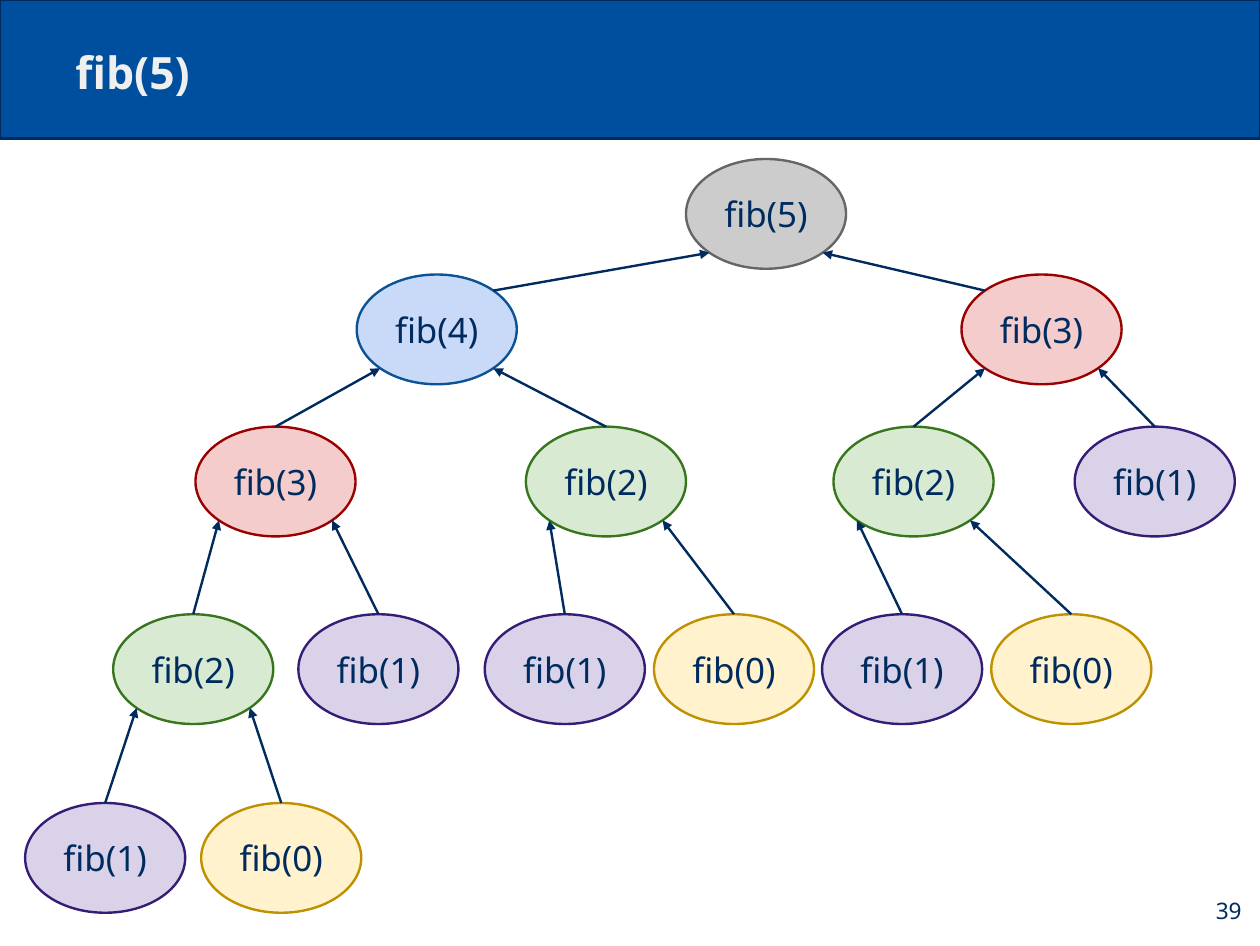
from math import sqrt

from lxml import etree
from pptx import Presentation
from pptx.dml.color import RGBColor
from pptx.enum.shapes import MSO_CONNECTOR, MSO_SHAPE
from pptx.enum.text import MSO_ANCHOR, PP_ALIGN
from pptx.oxml.ns import qn
from pptx.util import Inches, Pt

OVAL, RECTANGLE = MSO_SHAPE.OVAL, MSO_SHAPE.RECTANGLE
STRAIGHT = MSO_CONNECTOR.STRAIGHT
MIDDLE, BOTTOM = MSO_ANCHOR.MIDDLE, MSO_ANCHOR.BOTTOM
LEFT, CENTER, RIGHT = PP_ALIGN.LEFT, PP_ALIGN.CENTER, PP_ALIGN.RIGHT

NAVY = RGBColor(0x00, 0x2B, 0x5E)
BLUE = RGBColor(0x00, 0x4F, 0x9E)
LIGHT_GRAY = RGBColor(0xEF, 0xEF, 0xEF)

# Fill and outline for each argument of fib
NODE_COLORS = {
    5: (RGBColor(0xCC, 0xCC, 0xCC), RGBColor(0x66, 0x66, 0x66)),
    4: (RGBColor(0xC9, 0xDA, 0xF8), RGBColor(0x0B, 0x53, 0x94)),
    3: (RGBColor(0xF4, 0xCC, 0xCC), RGBColor(0x99, 0x00, 0x00)),
    2: (RGBColor(0xD9, 0xEA, 0xD3), RGBColor(0x38, 0x76, 0x1D)),
    1: (RGBColor(0xD9, 0xD2, 0xE9), RGBColor(0x35, 0x1C, 0x75)),
    0: (RGBColor(0xFF, 0xF2, 0xCC), RGBColor(0xBF, 0x90, 0x00)),
}

NODE_WIDTH, NODE_HEIGHT = 1.4, 0.96
LEVEL_TOPS = [1.39, 2.4, 3.73, 5.37, 7.02]

# Argument, level, left edge, index of the parent call
CALLS = [
    (5, 0, 6.0, None),
    (4, 1, 3.12, 0),
    (3, 1, 8.41, 0),
    (3, 2, 1.71, 1),
    (2, 2, 4.6, 1),
    (2, 2, 7.29, 2),
    (1, 2, 9.4, 2),
    (2, 3, 0.99, 3),
    (1, 3, 2.61, 3),
    (1, 3, 4.24, 4),
    (0, 3, 5.72, 4),
    (1, 3, 7.19, 5),
    (0, 3, 8.67, 5),
    (1, 4, 0.22, 7),
    (0, 4, 1.76, 7),
]


def write_text(shape, text, anchor, alignment, **font_format):
    frame = shape.text_frame
    frame.word_wrap = True
    frame.vertical_anchor = anchor
    for side in ("left", "right", "top", "bottom"):
        setattr(frame, f"margin_{side}", Inches(0.11))
    paragraph = frame.paragraphs[0]
    paragraph.alignment = alignment
    run = paragraph.add_run()
    run.text = text
    color = font_format.pop("color", NAVY)
    for name, value in {"name": "Noto Sans", **font_format}.items():
        setattr(run.font, name, value)
    run.font.color.rgb = color


def add_filled_shape(kind, left, top, width, height, fill, outline):
    shape = slide.shapes.add_shape(
        kind, Inches(left), Inches(top), Inches(width), Inches(height)
    )
    shape.shadow.inherit = False
    shape.fill.solid()
    shape.fill.fore_color.rgb = fill
    shape.line.color.rgb = outline
    shape.line.width = Pt(1.5)
    return shape


presentation = Presentation()
presentation.slide_width = Inches(11.02)
presentation.slide_height = Inches(8.27)
slide = presentation.slides.add_slide(presentation.slide_layouts[6])

# Header and page number
add_filled_shape(RECTANGLE, 0, 0, 11.02, 1.21, BLUE, NAVY)
title = slide.shapes.add_textbox(Inches(0.55), Inches(0.24), Inches(9.92), Inches(0.73))
write_text(title, "fib(5)", BOTTOM, LEFT, size=Pt(28), bold=True, color=LIGHT_GRAY)
page_number = slide.shapes.add_textbox(
    Inches(10.31), Inches(7.64), Inches(0.66), Inches(0.63)
)
write_text(page_number, "39", MIDDLE, RIGHT, size=Pt(14.3))

# Call tree
for argument, level, left, parent in CALLS:
    node = add_filled_shape(
        OVAL, left, LEVEL_TOPS[level], NODE_WIDTH, NODE_HEIGHT, *NODE_COLORS[argument]
    )
    write_text(node, f"fib({argument})", MIDDLE, CENTER, size=Pt(22))

# Arrows end on the diagonal points of the parent ellipse
diagonal_x = NODE_WIDTH / 2 * sqrt(0.5)
diagonal_y = NODE_HEIGHT / 2 * sqrt(0.5)
for argument, level, left, parent in CALLS[1:]:
    parent_level, parent_left = CALLS[parent][1:3]
    side = -1 if left < parent_left else 1
    start_x = left + NODE_WIDTH / 2
    start_y = LEVEL_TOPS[level]
    if level == 1:
        start_x -= side * diagonal_x
        start_y += NODE_HEIGHT / 2 - diagonal_y
    end_x = parent_left + NODE_WIDTH / 2 + side * diagonal_x
    end_y = LEVEL_TOPS[parent_level] + NODE_HEIGHT / 2 + diagonal_y
    arrow = slide.shapes.add_connector(
        STRAIGHT, Inches(start_x), Inches(start_y), Inches(end_x), Inches(end_y)
    )
    arrow.line.color.rgb = NAVY
    arrow.line.width = Pt(1.5)
    etree.SubElement(arrow.line._get_or_add_ln(), qn("a:tailEnd"), type="triangle")
    etree.SubElement(arrow._element.spPr, qn("a:effectLst"))

presentation.save("out.pptx")
